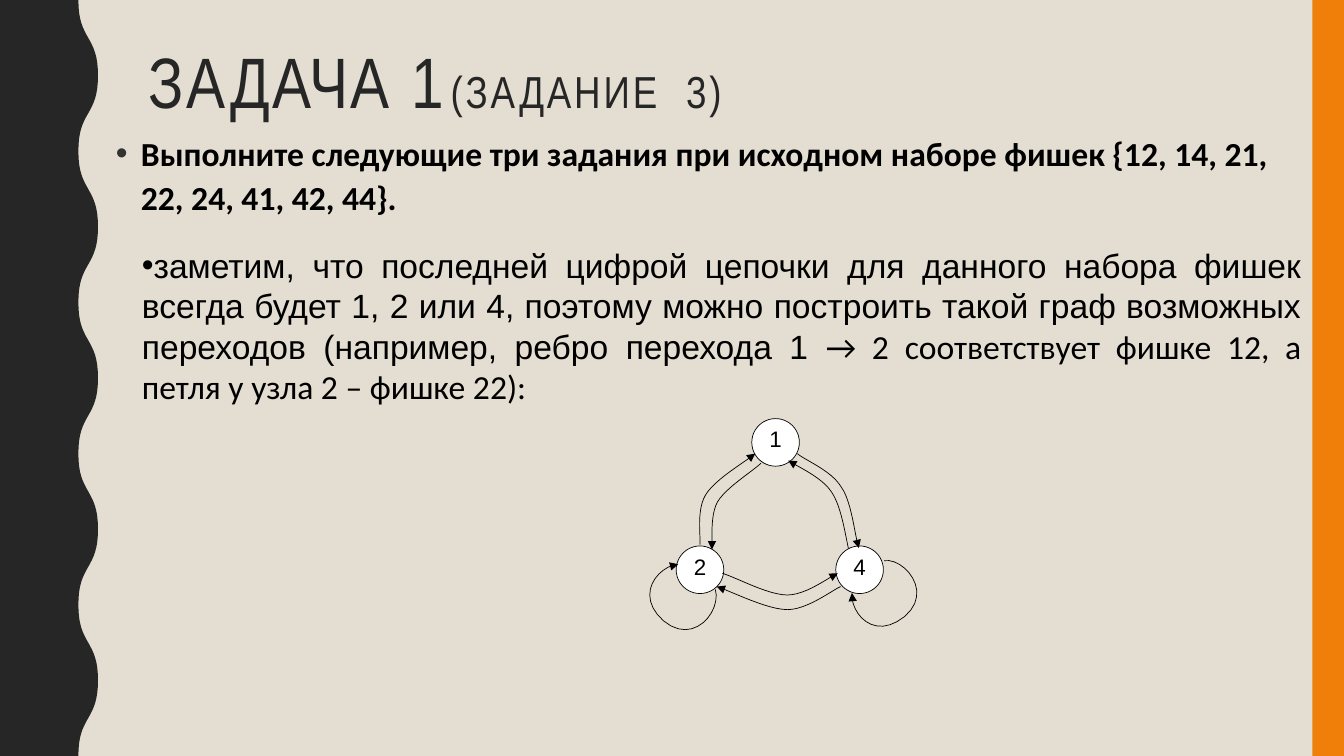
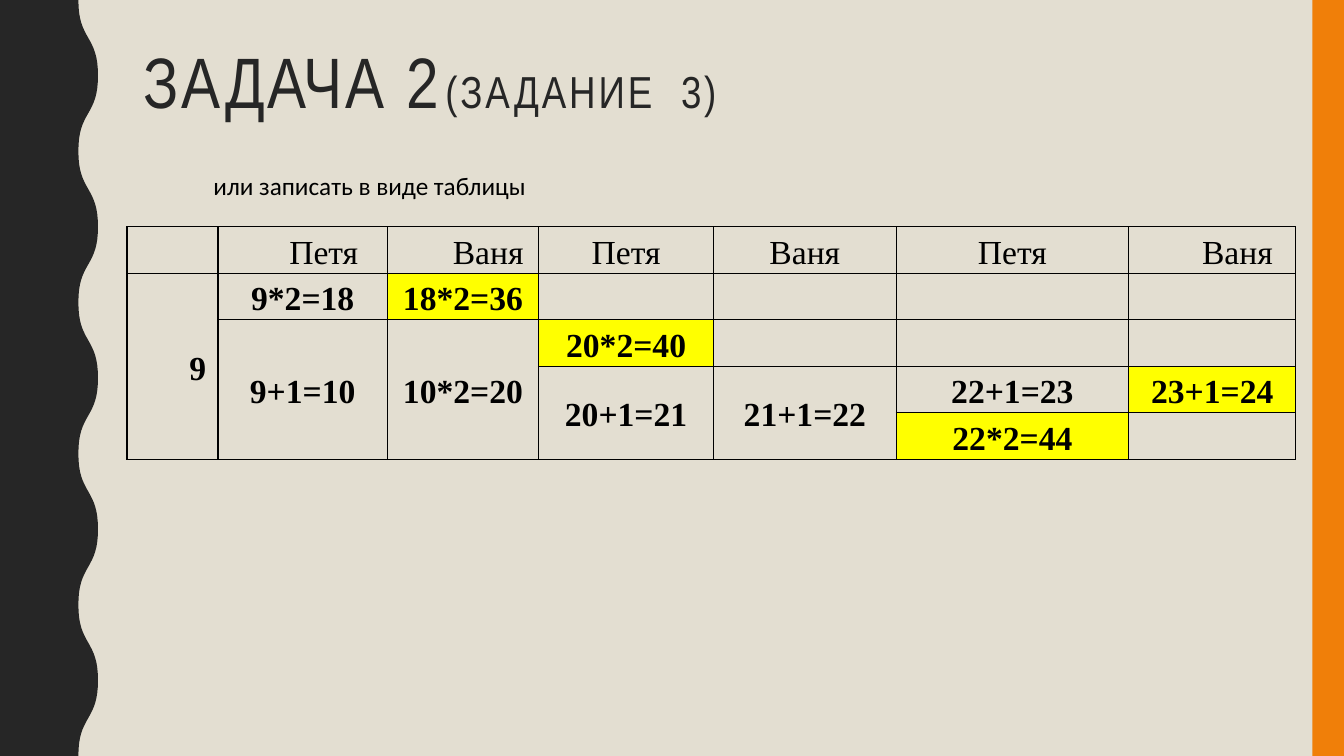
from dataclasses import dataclass

from lxml import etree
from pptx import Presentation
from pptx.dml.color import RGBColor
from pptx.enum.shapes import MSO_SHAPE
from pptx.enum.text import MSO_ANCHOR, MSO_AUTO_SIZE, PP_ALIGN
from pptx.oxml.ns import qn
from pptx.util import Pt

OVAL, RECTANGLE = MSO_SHAPE.OVAL, MSO_SHAPE.RECTANGLE
LEFT, CENTER, JUSTIFY = PP_ALIGN.LEFT, PP_ALIGN.CENTER, PP_ALIGN.JUSTIFY
TOP, MIDDLE = MSO_ANCHOR.TOP, MSO_ANCHOR.MIDDLE
NO_AUTOFIT = MSO_AUTO_SIZE.NONE
TITLE_ONLY = 5
SLIDE_WIDTH, SLIDE_HEIGHT = 960, 540


@dataclass(frozen=True)
class Theme:
    background: str = "E3DED1"
    dark: str = "262626"
    accent: str = "F07F09"
    bullet: str = "323232"
    ink: str = "000000"
    node: str = "FFFFFF"
    highlight: str = "FFFF00"
    title_font: str = "Arial Narrow"
    body_font: str = "Calibri"
    plain_font: str = "Arial"
    table_font: str = "Times New Roman"
    title_size: float = 51
    subtitle_size: float = 32
    body_size: float = 24
    note_size: float = 18
    node_size: float = 16
    title_tracking: float = 2
    thin_line: float = 0.5
    table_line: float = 1


def color(value):
    return RGBColor.from_string(value)


def add_xml(parent, tag, **attributes):
    return etree.SubElement(parent, qn(tag), attributes)


def curve_points(points, steps=12):
    """Trace joined cubic curves: a start, then three points per curve."""
    traced = [points[0]]
    for first in range(0, len(points) - 1, 3):
        a, b, c, d = points[first:first + 4]
        for step in range(1, steps + 1):
            t = step / steps
            weights = ((1 - t) ** 3, 3 * t * (1 - t) ** 2, 3 * t * t * (1 - t), t ** 3)
            traced.append(tuple(
                sum(weight * point[axis] for weight, point in zip(weights, (a, b, c, d)))
                for axis in (0, 1)))
    return traced


def wave_outline():
    """Dark left band whose right edge repeats one symmetrical wave."""
    length = 108
    half = curve_points([(56, 0), (56, 14), (59, 20), (63, 27),
                         (67, 34), (70, 40), (70, 54)], steps=8)
    wave = half + [(x, length - y) for x, y in reversed(half[:-1])]
    edge = [(x, y + start) for start in range(0, SLIDE_HEIGHT, length) for x, y in wave]
    return [(0, 0)] + edge + [(0, SLIDE_HEIGHT)]


class Deck:
    def __init__(self, theme):
        self.theme = theme
        self.slide = None
        self.presentation = Presentation()
        self.presentation.slide_width = Pt(SLIDE_WIDTH)
        self.presentation.slide_height = Pt(SLIDE_HEIGHT)
        fill = self.presentation.slide_master.background.fill
        fill.solid()
        fill.fore_color.rgb = color(theme.background)

    def new_slide(self, title, subtitle, title_left):
        layout = self.presentation.slide_layouts[TITLE_ONLY]
        self.slide = self.presentation.slides.add_slide(layout)
        # Side bands
        self.outline(wave_outline(), fill=self.theme.dark)
        self.preset(RECTANGLE, (937.5, 0, 22.5, SLIDE_HEIGHT), self.theme.accent)
        # Title with the subtitle at a tab stop
        shape = self.slide.shapes.title
        shape.left, shape.top, shape.width, shape.height = map(Pt, (title_left, 30, 801, 117))
        frame = shape.text_frame
        frame.auto_size, frame.vertical_anchor = NO_AUTOFIT, TOP
        paragraph = self.paragraph(frame, LEFT, 0.9)
        tabs = add_xml(paragraph._p.get_or_add_pPr(), "a:tabLst")
        add_xml(tabs, "a:tab", pos=str(Pt(308)), algn="l")
        for words, size in ((title + "\t", self.theme.title_size),
                            (subtitle, self.theme.subtitle_size)):
            run = self.run(paragraph, words, size, self.theme.title_font, self.theme.dark)
            tracking = str(int(self.theme.title_tracking * 100))
            run._r.get_or_add_rPr().set("spc", tracking)

    def paragraph(self, frame, align=LEFT, spacing=1.0, indent=0, hanging=0):
        paragraph = frame.paragraphs[0]
        paragraph.alignment = align
        paragraph.line_spacing = spacing
        properties = paragraph._p.get_or_add_pPr()
        properties.set("marL", str(Pt(indent)))
        properties.set("indent", str(Pt(-hanging)))
        return paragraph

    def run(self, paragraph, words, size, font, ink=None, bold=False):
        run = paragraph.add_run()
        run.text = words
        run.font.size = Pt(size)
        run.font.name = font
        run.font.bold = bold
        run.font.color.rgb = color(ink or self.theme.ink)
        return run

    def bullet(self, paragraph, ink):
        properties = paragraph._p.get_or_add_pPr()
        add_xml(add_xml(properties, "a:buClr"), "a:srgbClr", val=ink)
        add_xml(properties, "a:buFont", typeface=self.theme.plain_font)
        add_xml(properties, "a:buChar", char="•")

    def text_box(self, box, anchor=TOP):
        frame = self.slide.shapes.add_textbox(*map(Pt, box)).text_frame
        frame.word_wrap = True
        frame.vertical_anchor = anchor
        return frame

    def style(self, shape, fill=None, line=None):
        shape.shadow.inherit = False
        if fill:
            shape.fill.solid()
            shape.fill.fore_color.rgb = color(fill)
        else:
            shape.fill.background()
        if line:
            shape.line.color.rgb = color(line)
            shape.line.width = Pt(self.theme.thin_line)
        else:
            shape.line.fill.background()

    def preset(self, kind, box, fill, line=None):
        shape = self.slide.shapes.add_shape(kind, *map(Pt, box))
        self.style(shape, fill, line)
        return shape

    def outline(self, points, fill=None, line=None):
        start, *others = [(Pt(x), Pt(y)) for x, y in points]
        builder = self.slide.shapes.build_freeform(*start)
        builder.add_line_segments(others, close=bool(fill))
        shape = builder.convert_to_shape()
        self.style(shape, fill, line)
        return shape

    def node(self, label, left, top, size=34):
        shape = self.preset(OVAL, (left, top, size, size), self.theme.node, self.theme.ink)
        frame = shape.text_frame
        frame.margin_left = frame.margin_right = frame.margin_top = frame.margin_bottom = 0
        frame.vertical_anchor = TOP
        self.run(self.paragraph(frame, CENTER), label,
                 self.theme.node_size, self.theme.plain_font)

    def arrow(self, points):
        shape = self.outline(curve_points(points), line=self.theme.ink)
        add_xml(shape.line._get_or_add_ln(), "a:tailEnd", type="triangle")

    def table(self, left, top, columns, row_height, rows, merges, indented, highlighted):
        box = map(Pt, (left, top, sum(columns), row_height * len(rows)))
        table = self.slide.shapes.add_table(len(rows), len(columns), *box).table
        table.first_row = table.horz_banding = False
        for column, width in zip(table.columns, columns):
            column.width = Pt(width)
        for row_index, row in enumerate(rows):
            table.rows[row_index].height = Pt(row_height)
            for column_index, words in enumerate(row):
                place = (row_index, column_index)
                self.cell(table.cell(*place), words, bold=row_index > 0,
                          indent=36 if place in indented else 0,
                          highlight=place in highlighted)
        for first, last in merges:
            table.cell(*first).merge(table.cell(*last))

    def cell(self, cell, words, bold, indent, highlight):
        cell.vertical_anchor = MIDDLE
        cell.margin_left = cell.margin_right = Pt(5)
        cell.margin_top = cell.margin_bottom = 0
        for side in ("a:lnL", "a:lnR", "a:lnT", "a:lnB"):
            border = add_xml(cell._tc.get_or_add_tcPr(), side, w=str(Pt(self.theme.table_line)))
            add_xml(add_xml(border, "a:solidFill"), "a:srgbClr", val=self.theme.ink)
        if highlight:
            cell.fill.solid()
            cell.fill.fore_color.rgb = color(self.theme.highlight)
        else:
            cell.fill.background()
        if words:
            paragraph = self.paragraph(cell.text_frame, CENTER, 1.15, indent)
            self.run(paragraph, words, self.theme.body_size, self.theme.table_font, bold=bold)


def graph_slide(deck):
    theme = deck.theme
    deck.new_slide("ЗАДАЧА 1", "(ЗАДАНИЕ  3)", 98.6)

    # Task and remark
    paragraph = deck.paragraph(deck.text_box((75.6, 88.6, 855.4, 77.8)), LEFT, 1.1, 18, 18)
    paragraph.space_before = Pt(7)
    deck.bullet(paragraph, theme.bullet)
    deck.run(paragraph, "Выполните следующие три задания при исходном наборе фишек "
             "{12, 14, 21, 22, 24, 41, 42, 44}.", theme.body_size, theme.body_font, bold=True)
    paragraph = deck.paragraph(deck.text_box((94.3, 170.6, 842.4, 123.8), MIDDLE), JUSTIFY)
    deck.bullet(paragraph, theme.ink)
    deck.run(paragraph, "заметим, что последней цифрой цепочки для данного набора фишек "
             "всегда будет 1, 2 или 4, поэтому можно построить такой граф возможных "
             "переходов (например, ребро перехода 1 ", theme.body_size, theme.plain_font)
    deck.run(paragraph, "→ 2 соответствует фишке 12, а петля у узла 2 – фишке 22):",
             theme.body_size, theme.body_font)

    # Graph nodes
    for label, left, top in (("2", 483, 390), ("4", 597, 390), ("1", 537, 299)):
        deck.node(label, left, top)

    # Graph edges, each ending in an arrowhead
    edges = {
        "2-1": [(500, 389), (500.5, 383), (497.5, 364), (504, 353.5),
                (510.5, 342.5), (531.5, 330.5), (539.5, 324)],
        "1-4": [(569.5, 324), (574.5, 328.5), (594, 336), (601, 348),
                (608.5, 358.5), (610.5, 382.5), (613.5, 391.5)],
        "4-2": [(600.5, 419), (594, 422), (576.5, 435.5), (562.5, 435.5),
                (548, 435.5), (522.5, 422.5), (512, 419)],
        "1-2": [(543.5, 331), (537, 337), (518.5, 348.5), (512.5, 358.5),
                (507, 368.5), (509, 386.5), (508.5, 392.5)],
        "2-4": [(516, 409.5), (526, 412.5), (548.5, 425), (562.5, 425),
                (576, 425), (592.5, 412), (598.5, 409.5)],
        "4-1": [(606, 391.5), (604, 383), (601, 361.5), (594, 351.5),
                (587, 340.5), (568, 332.5), (563, 329)],
        "2-2": [(511, 421), (515.5, 436.5), (495.5, 461.5), (474, 443.5),
                (453, 425), (470, 404.5), (484.5, 403)],
        "4-4": [(631.5, 400.5), (645, 398), (667.5, 422.5), (646, 440.5),
                (624, 458), (607.5, 438), (608.5, 423.5)],
    }
    for points in edges.values():
        deck.arrow(points)


def table_slide(deck):
    theme = deck.theme
    deck.new_slide("ЗАДАЧА 2", "(ЗАДАНИЕ  3)", 95)

    # Lead-in
    paragraph = deck.paragraph(deck.text_box((95, 115.2, 291, 32.4)), LEFT, 1.15, 50.4)
    deck.run(paragraph, "или записать в виде таблицы", theme.note_size, theme.body_font)

    # Game moves
    deck.table(
        left=90.7, top=162, columns=(65, 121, 108, 125, 130.5, 166, 119.5), row_height=33.2,
        rows=(
            ("", "Петя ", "Ваня", "Петя", "Ваня", "Петя", "Ваня"),
            ("9", "9*2=18", "18*2=36", "", "", "", ""),
            ("", "9+1=10", "10*2=20", "20*2=40", "", "", ""),
            ("", "", "", "20+1=21", "21+1=22", "22+1=23", "23+1=24"),
            ("", "", "", "", "", "22*2=44", ""),
        ),
        merges=(((1, 0), (4, 0)), ((2, 1), (4, 1)), ((2, 2), (4, 2)),
                ((3, 3), (4, 3)), ((3, 4), (4, 4))),
        indented={(0, 1), (0, 2), (0, 6), (1, 0)},
        highlighted={(1, 2), (2, 3), (3, 6), (4, 5)},
    )


def main():
    deck = Deck(Theme())
    graph_slide(deck)
    table_slide(deck)
    deck.presentation.save("out.pptx")


if __name__ == "__main__":
    main()
